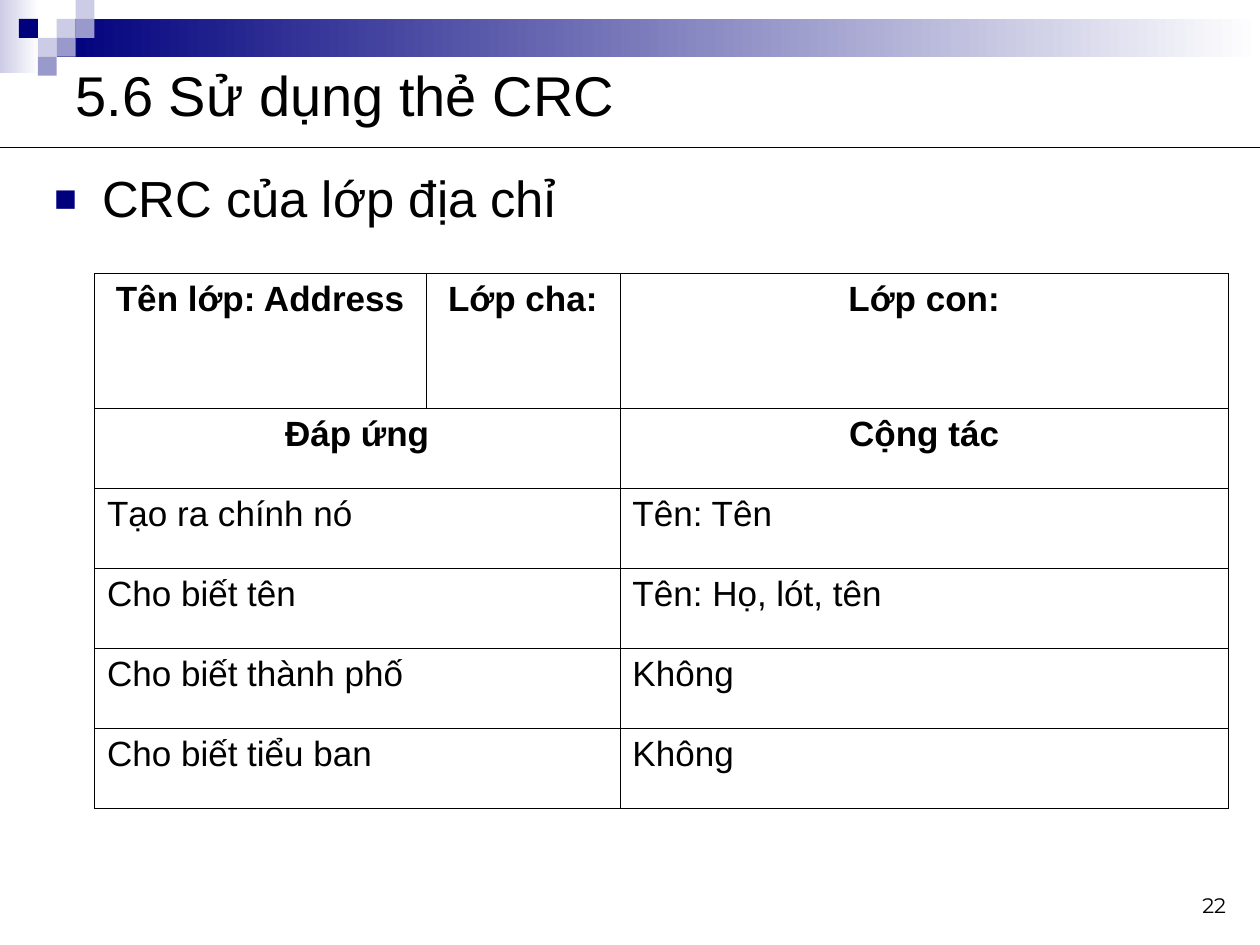
"""Build the slide about the CRC card of the address class."""
import dataclasses

import pptx
import pptx.dml.color
import pptx.enum.shapes
import pptx.enum.text
import pptx.oxml
import pptx.oxml.ns
import pptx.util

Inches = pptx.util.Inches
Pt = pptx.util.Pt
ALIGN = pptx.enum.text.PP_ALIGN
ANCHOR = pptx.enum.text.MSO_ANCHOR


@dataclasses.dataclass(frozen=True)
class Theme:
    ink: str = "000000"
    paper: str = "FFFFFF"
    navy: str = "00007D"
    lilac: str = "9999CC"
    pale: str = "CCCCE6"
    font: str = "Arial"
    number_font: str = "Montserrat"
    title_size: float = 32
    body_size: float = 29
    table_size: float = 20
    number_size: float = 12
    rule_width: float = 0.75
    border_width: float = 0.45


THEME = Theme()
GRID = 0.15
SQUARES = [(3, 1, THEME.pale), (4, 0, THEME.pale), (4, 1, THEME.lilac), (2, 2, THEME.pale),
           (1, 1, THEME.navy), (3, 2, THEME.lilac), (2, 3, THEME.lilac)]
COLUMN_WIDTHS = [2.63, 1.54, 4.83]
HEADER_HEIGHT = 1.07
TABLE_HEIGHT = 4.25
CLASS_ROW = ["Tên lớp: Address", "Lớp cha:", "Lớp con:"]
DUTY_ROWS = [
    ("Đáp ứng", "Cộng tác"),
    ("Tạo ra chính nó", "Tên: Tên"),
    ("Cho biết tên", "Tên: Họ, lót, tên"),
    ("Cho biết thành phố", "Không"),
    ("Cho biết tiểu ban", "Không"),
]


def rgb(colour):
    return pptx.dml.color.RGBColor.from_string(colour)


def xml(markup):
    """Parse one DrawingML element whose start tag ends at the first space."""
    tag, _, rest = markup.partition(" ")
    return pptx.oxml.parse_xml(f"{tag} {pptx.oxml.ns.nsdecls('a')} {rest}")


def write(frame, text, size, font=THEME.font, bold=False, align=ALIGN.LEFT, anchor=ANCHOR.TOP):
    """Write one formatted paragraph into a text frame and return it."""
    frame.word_wrap = True
    frame.vertical_anchor = anchor
    paragraph = frame.paragraphs[0]
    paragraph.alignment = align
    run = paragraph.add_run()
    run.text = text
    run.font.size = Pt(size)
    run.font.name = font
    run.font.bold = bold
    run.font.color.rgb = rgb(THEME.ink)
    return paragraph


def place(shape, left, top, width, height):
    shape.left, shape.top = Inches(left), Inches(top)
    shape.width, shape.height = Inches(width), Inches(height)
    shape.text_frame.auto_size = pptx.enum.text.MSO_AUTO_SIZE.NONE


def add_block(slide, left, top, width, height, colour, fade=None):
    """Add a borderless rectangle, solid or fading to the right."""
    block = slide.shapes.add_shape(pptx.enum.shapes.MSO_SHAPE.RECTANGLE, Inches(left),
                                   Inches(top), Inches(width), Inches(height))
    block.shadow.inherit = False
    block.line.fill.background()
    if fade is None:
        block.fill.solid()
        block.fill.fore_color.rgb = rgb(colour)
        return
    block.fill.gradient()
    block.fill.gradient_angle = 0
    for stop, shade in zip(block.fill.gradient_stops, (colour, fade)):
        stop.color.rgb = rgb(shade)


def add_banner(slide):
    """Add the fading bars, the mosaic of squares and the rule under the title."""
    add_block(slide, 0, 0, 0.31, 0.58, THEME.pale, fade=THEME.paper)
    add_block(slide, 0.45, 0.15, 9.55, 0.3, THEME.navy, fade=THEME.paper)
    for column, row, colour in SQUARES:
        add_block(slide, column * GRID, row * GRID, GRID, GRID, colour)
    rule = slide.shapes.add_connector(pptx.enum.shapes.MSO_CONNECTOR.STRAIGHT,
                                      Inches(0), Inches(1.17), Inches(10), Inches(1.17))
    rule.line.color.rgb = rgb(THEME.ink)
    rule.line.width = Pt(THEME.rule_width)
    rule._element.spPr.append(xml("<a:effectLst />"))


def add_headings(slide):
    """Fill the title and the bulleted body placeholder."""
    title, body = slide.placeholders
    place(title, 0.5, 0.5, 9, 0.5)
    write(title.text_frame, "5.6 Sử dụng thẻ CRC", THEME.title_size, anchor=ANCHOR.MIDDLE)
    place(body, 0.33, 1.33, 6.33, 0.67)
    item = write(body.text_frame, "CRC của lớp địa chỉ", THEME.body_size)
    item.line_spacing = 0.9
    item.space_before = Pt(7.3)
    properties = item._p.get_or_add_pPr()
    properties.set("marL", str(Inches(0.38)))
    properties.set("indent", str(Inches(-0.38)))
    for markup in (f'<a:buClr ><a:srgbClr val="{THEME.navy}"/></a:buClr>',
                   '<a:buSzPct val="75000"/>',
                   f'<a:buFont typeface="{THEME.font}"/>',
                   '<a:buChar char="■"/>'):
        properties.append(xml(markup))


def fill_cell(cell, text, bold, align):
    """Write a transparent cell with a thin border on every side."""
    write(cell.text_frame, text, THEME.table_size, bold=bold, align=align)
    cell.fill.background()
    properties = cell._tc.get_or_add_tcPr()
    for index, side in enumerate("LRTB"):
        properties.insert(index, xml(
            f'<a:ln{side} w="{Pt(THEME.border_width)}"><a:solidFill>'
            f'<a:srgbClr val="{THEME.ink}"/></a:solidFill></a:ln{side}>'))


def add_card(slide):
    """Add the CRC card; its first two columns merge below the class row."""
    card = slide.shapes.add_table(1 + len(DUTY_ROWS), len(CLASS_ROW), Inches(0.75), Inches(2.17),
                                  Inches(sum(COLUMN_WIDTHS)), Inches(TABLE_HEIGHT)).table
    card.first_row = card.horz_banding = False
    for column, width in zip(card.columns, COLUMN_WIDTHS):
        column.width = Inches(width)
    for row in card.rows:
        row.height = Inches((TABLE_HEIGHT - HEADER_HEIGHT) / len(DUTY_ROWS))
    card.rows[0].height = Inches(HEADER_HEIGHT)
    for index, text in enumerate(CLASS_ROW):
        fill_cell(card.cell(0, index), text, True, ALIGN.CENTER)
    for index, (duty, partner) in enumerate(DUTY_ROWS, start=1):
        heading = index == 1
        align = ALIGN.CENTER if heading else ALIGN.JUSTIFY
        card.cell(index, 0).merge(card.cell(index, 1))
        fill_cell(card.cell(index, 0), duty, heading, align)
        fill_cell(card.cell(index, 2), partner, heading, align)


def add_page_number(slide):
    number = slide.shapes.add_textbox(Inches(7.5), Inches(6.83), Inches(2.33), Inches(0.5))
    write(number.text_frame, "22", THEME.number_size, font=THEME.number_font,
          align=ALIGN.RIGHT, anchor=ANCHOR.BOTTOM)


def main():
    deck = pptx.Presentation()
    deck.slide_width, deck.slide_height = Inches(10), Inches(7.5)
    slide = deck.slides.add_slide(deck.slide_layouts[1])
    add_banner(slide)
    add_headings(slide)
    add_card(slide)
    add_page_number(slide)
    deck.save("out.pptx")


if __name__ == "__main__":
    main()
